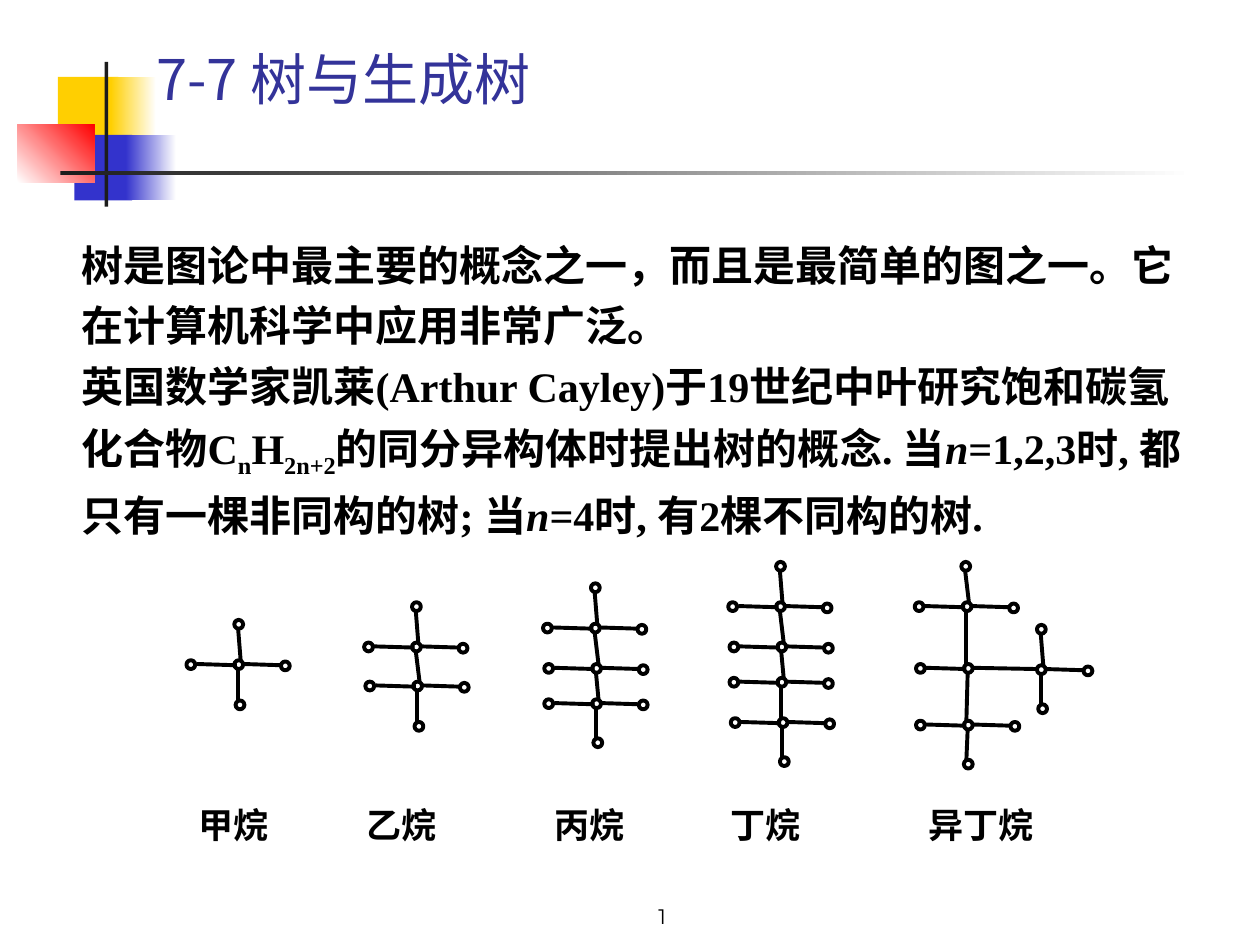
from lxml import etree
from pptx import Presentation
from pptx.dml.color import RGBColor
from pptx.enum import shapes, text
from pptx.oxml import ns
from pptx.util import Pt

PX = 9144  # a hundred px to the inch
BLACK = RGBColor(0x00, 0x00, 0x00)
WHITE = RGBColor(0xFF, 0xFF, 0xFF)
GOLD = RGBColor(0xFF, 0xCF, 0x01)
BLUE = RGBColor(0x33, 0x33, 0xCC)
RED = RGBColor(0xFF, 0x00, 0x00)
DARK = RGBColor(0x1C, 0x1C, 0x1C)
NAVY = RGBColor(0x33, 0x33, 0x99)

SERIF, SANS, NUM = "Times New Roman", "Noto Sans CJK SC", "Montserrat"
DOT = 7
BODY = {"name": SERIF, "size": Pt(24), "bold": True}
LABEL = {"name": SERIF, "size": Pt(20), "bold": True}
SUB = "-25000"


class Deck:
    def __init__(self, slide):
        self.items = slide.shapes

    def rect(self, left, top, width, height, *tones, angle=0):
        """One tone gives a plain fill, two tones a gradient."""
        box = self.items.add_shape(shapes.MSO_SHAPE.RECTANGLE,
                                   *(v * PX for v in (left, top, width, height)))
        box.shadow.inherit = False
        box.line.fill.background()
        if len(tones) == 1:
            box.fill.solid()
            box.fill.fore_color.rgb = tones[0]
            return
        box.fill.gradient()
        box.fill.gradient_angle = angle
        for stop, tone in zip(box.fill.gradient_stops, tones):
            stop.color.rgb = tone

    def label(self, left, top, width, height, paras, style, color=BLACK,
              anchor=text.MSO_ANCHOR.TOP, **form):
        """Each paragraph is a list of (words, font values, baseline)."""
        box = self.items.add_textbox(*(v * PX for v in (left, top, width, height)))
        frame = box.text_frame
        frame.word_wrap = True
        frame.vertical_anchor = anchor
        for i, runs in enumerate(paras):
            para = frame.add_paragraph() if i else frame.paragraphs[0]
            for key, value in form.items():
                setattr(para, key, value)
            for words, extra, base in runs:
                run = para.add_run()
                run.text = words
                for key, value in {**style, **extra}.items():
                    setattr(run.font, key, value)
                run.font.color.rgb = color
                props = run._r.get_or_add_rPr()
                etree.SubElement(props, ns.qn("a:ea"), typeface=SANS)
                if base:
                    props.set("baseline", base)

    def atom(self, x, y):
        dot = self.items.add_shape(shapes.MSO_SHAPE.OVAL,
                                   x * PX, y * PX, DOT * PX, DOT * PX)
        dot.shadow.inherit = False
        dot.fill.solid()
        dot.fill.fore_color.rgb = WHITE
        dot.line.color.rgb = BLACK
        dot.line.width = Pt(2.25)

    def bond(self, *ends):
        line = self.items.add_connector(shapes.MSO_CONNECTOR.STRAIGHT,
                                        *(v * PX for v in ends))
        line.line.color.rgb = BLACK
        line.line.width = Pt(2.25)
        etree.SubElement(line._element.spPr, ns.qn("a:effectLst"))

    def left(self, x, y):
        self.atom(x - 38, y)
        self.bond(x + 2, y + 4, x - 30, y + 3)

    def right(self, x, y):
        self.atom(x + 37, y + 1)
        self.bond(x + 7, y + 3, x + 38, y + 4)

    def chain(self, spine, upright=1, sides="LR"):
        """Draw a column of atoms; inner ones get side arms.

        The last `upright` bonds do not lean; `sides` may list arms per atom.
        """
        arms = sides if isinstance(sides, list) else [sides] * (len(spine) - 2)
        for spot in spine:
            self.atom(*spot)
        for spot, arm in zip(spine[1:-1], arms):
            for side in arm:
                {"L": self.left, "R": self.right}[side](*spot)
        for i, ((x, y), (x2, y2)) in enumerate(zip(spine, spine[1:])):
            lean = 2 if i >= len(spine) - 1 - upright else 5
            self.bond(x + 3, y + DOT, x2 + lean, y2)


def plain(words):
    return [[(words, {}, None)]]


def main():
    prs = Presentation()
    prs.slide_width, prs.slide_height = 1000 * PX, 750 * PX
    deck = Deck(prs.slides.add_slide(prs.slide_layouts[6]))

    deck.rect(46, 61, 48, 52, GOLD)
    deck.rect(88, 61, 36, 52, GOLD, WHITE)
    deck.rect(59, 107, 46, 52, BLUE)
    deck.rect(100, 107, 40, 52, BLUE, WHITE)
    deck.rect(14, 99, 61, 46, WHITE, RED, angle=45)
    deck.rect(83, 49, 3, 115, DARK)
    deck.rect(48, 136, 900, 3, DARK, WHITE)

    slant = {"italic": True}
    deck.label(55, 177, 900, 425, [
        [("树是图论中最主要的概念之一，而且是最简单的图之一。它在计算机科学中应用非常广泛。", {}, None)],
        [("英国数学家凯莱(Arthur Cayley)于19世纪中叶研究饱和碳氢化合物C", {}, None),
         ("n", {}, SUB), ("H", {}, None), ("2n+2", {}, SUB),
         ("的同分异构体时提出树的概念. 当", {}, None), ("n", slant, None),
         ("=1,2,3时, 都只有一棵非同构的树; 当", {}, None), ("n", slant, None),
         ("=4时, 有2棵不同构的树.", {}, None)],
    ], BODY, line_spacing=1.2)
    deck.label(367, 692, 317, 50, plain("1"), {"name": NUM, "size": Pt(12)},
               anchor=text.MSO_ANCHOR.BOTTOM, alignment=text.PP_ALIGN.CENTER)

    deck.chain([(186, 492), (186, 524), (187, 556)])
    deck.chain([(327, 478), (327, 510), (328, 541), (329, 573)])
    deck.chain([(469, 463), (469, 495), (470, 527), (470, 555), (471, 586)])
    deck.chain([(616, 446), (616, 478), (617, 510), (617, 538), (618, 570),
                (619, 601)], upright=2)
    deck.chain([(763, 446), (764, 478), (765, 527), (765, 572), (765, 603)],
               upright=3, sides=["LR", "L", "LR"])
    deck.chain([(823, 496), (823, 528), (824, 559)], sides="R")
    deck.bond(772, 530, 823, 531)

    for x, width, name in ((148, 102, "甲烷"), (281, 102, "乙烷"), (430, 102, "丙烷"),
                           (570, 102, "丁烷"), (727, 117, "异丁烷")):
        deck.label(x, 633, width, 47, plain(name), LABEL,
                   alignment=text.PP_ALIGN.JUSTIFY)
    deck.label(114, 28, 858, 66, plain("7-7 树与生成树"),
               {"name": SANS, "size": Pt(32)}, NAVY, text.MSO_ANCHOR.BOTTOM)
    prs.save("out.pptx")


if __name__ == "__main__":
    main()
